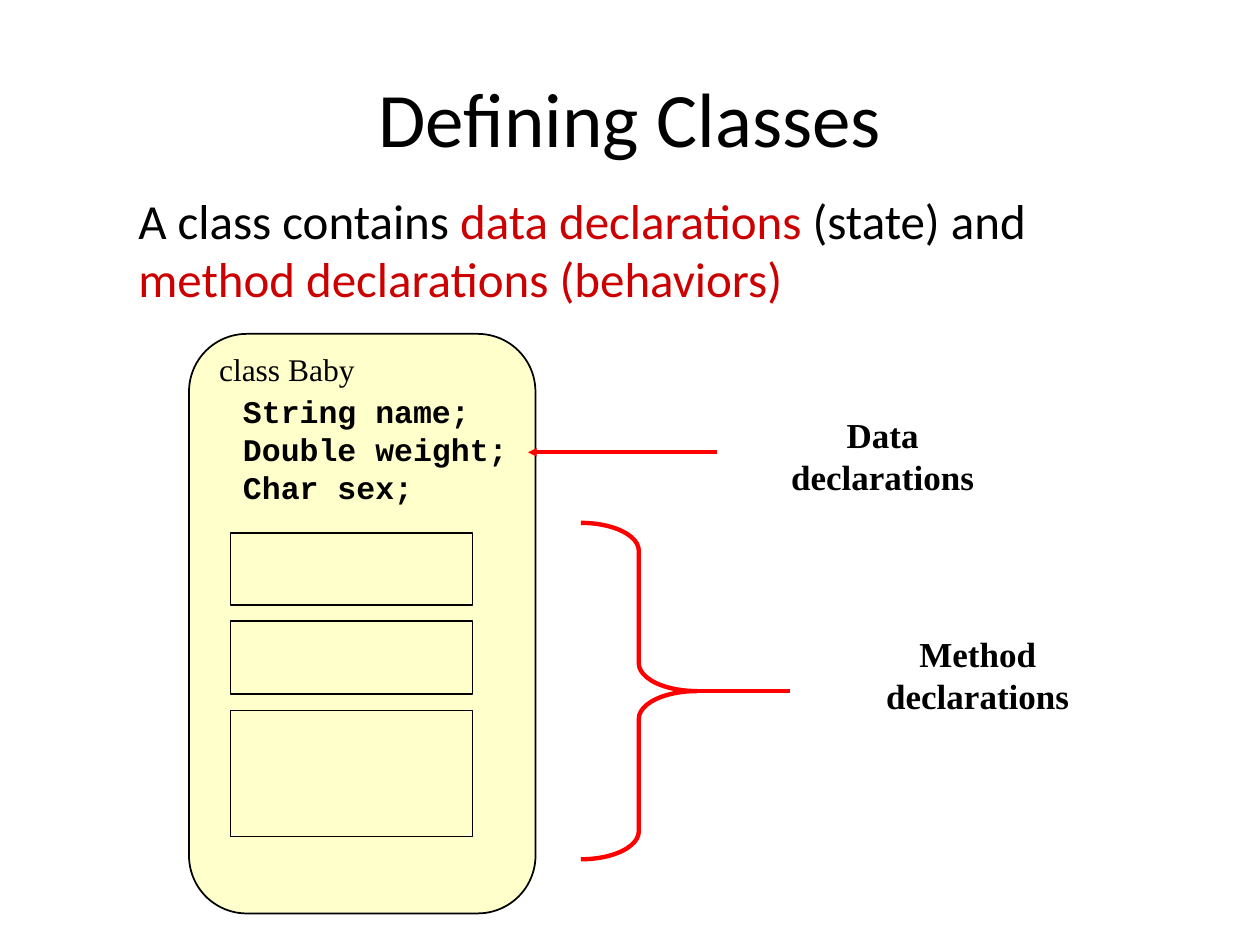
import pptx
import pptx.util
import pptx.dml.color
import pptx.enum.shapes
import pptx.enum.text
import pptx.oxml
import pptx.oxml.ns

Inches = pptx.util.Inches
RGBColor = pptx.dml.color.RGBColor
SHAPE = pptx.enum.shapes.MSO_SHAPE
ALIGN = pptx.enum.text.PP_ALIGN
ANCHOR = pptx.enum.text.MSO_ANCHOR

BLACK = RGBColor(0x00, 0x00, 0x00)
CREAM = RGBColor(0xFF, 0xFF, 0xCC)
CRIMSON = RGBColor(0xCC, 0x00, 0x00)
RED = RGBColor(0xFF, 0x00, 0x00)
SERIF = "Times New Roman"


def write(sp, paragraphs, size=18, font=SERIF, bold=False,
          align=ALIGN.LEFT, anchor=ANCHOR.TOP, wrap=False):
    """Fill a shape with paragraphs, each a list of (text, colour) runs; "\\n" breaks a line."""
    tf = sp.text_frame
    tf.word_wrap = wrap
    tf.vertical_anchor = anchor
    for i, runs in enumerate(paragraphs):
        p = tf.add_paragraph() if i else tf.paragraphs[0]
        p.alignment = align
        for text, color in runs:
            for j, part in enumerate(text.split("\n")):
                if j:
                    p.add_line_break()
                r = p.add_run()
                r.text = part
                r.font.size = pptx.util.Pt(size)
                r.font.name = font
                r.font.bold = bold
                r.font.color.rgb = color


def add_box(shapes, kind, x, y, w, h, fill=None, line=None, weight=1):
    """Add a preset shape with an optional fill and outline."""
    sp = shapes.add_shape(kind, Inches(x), Inches(y), Inches(w), Inches(h))
    sp.shadow.inherit = False
    if fill is None:
        sp.fill.background()
    else:
        sp.fill.solid()
        sp.fill.fore_color.rgb = fill
    if line is None:
        sp.line.fill.background()
    else:
        sp.line.color.rgb = line
        sp.line.width = pptx.util.Pt(weight)
    return sp


def add_text(s, x, y, w, h, paragraphs, **fmt):
    """Add a text box."""
    sp = s.shapes.add_textbox(Inches(x), Inches(y), Inches(w), Inches(h))
    write(sp, paragraphs, **fmt)


def add_red_line(shapes, x1, x2, y, arrow=False):
    """Add a level red line, with a small arrowhead at x2 if asked."""
    cx = shapes.add_connector(pptx.enum.shapes.MSO_CONNECTOR.STRAIGHT,
                              Inches(x1), Inches(y), Inches(x2), Inches(y))
    cx.line.color.rgb = RED
    cx.line.width = pptx.util.Pt(2.5)
    sp_pr = cx.line._get_or_add_ln().getparent()
    if arrow:
        ns = pptx.oxml.ns.nsdecls("a")
        cx.line._get_or_add_ln().append(pptx.oxml.parse_xml(
            f'<a:tailEnd {ns} type="triangle" w="sm" len="sm"/>'))
    sp_pr.append(pptx.oxml.parse_xml(
        f'<a:effectLst {pptx.oxml.ns.nsdecls("a")}/>'))


def add_heading(s, x, y, w):
    """Place the title and the definition below it."""
    title = s.shapes.title
    title.left, title.top = Inches(x), Inches(y)
    title.width, title.height = Inches(w), Inches(1.25)
    write(title, [[("Defining Classes", BLACK)]], size=44, font="Calibri",
          align=ALIGN.CENTER, anchor=ANCHOR.MIDDLE, wrap=True)
    add_text(s, x + 0.5, y + 1.16, 8.33, 1.04, [[
        ("A class contains ", BLACK), ("data declarations", CRIMSON),
        (" (state) and ", BLACK), ("method declarations (behaviors)", CRIMSON),
    ]], size=28, font="Calibri", wrap=True)


def add_class_card(s, x, y, w, h):
    """Draw the class with its fields and its empty method boxes."""
    add_box(s.shapes, SHAPE.FLOWCHART_ALTERNATE_PROCESS, x, y, w, h, CREAM, BLACK)
    inner = x + 0.33
    top = y + 1.58
    for height in (0.57, 0.58, 1):
        add_box(s.shapes, SHAPE.RECTANGLE, inner, top, 1.92, height, CREAM, BLACK)
        top += height + 0.13
    fields = add_box(s.shapes, SHAPE.RECTANGLE, inner, y + 0.41, 2.31, 1.01, CREAM)
    write(fields, [[(t, BLACK)] for t in ("String name;", "Double weight;", "Char sex;")],
          font="Courier New", bold=True, anchor=ANCHOR.MIDDLE)
    add_text(s, x + 0.14, y + 0.08, 1.29, 0.4, [[("class Baby", BLACK)]])


def add_label(s, x, y, w, text):
    """Add a bold centred label."""
    add_text(s, x, y, w, 0.43, [[(text, BLACK)]], size=20, bold=True,
             align=ALIGN.CENTER, anchor=ANCHOR.MIDDLE)


def add_data_note(s, x, y):
    """Label the fields with an arrow whose tip is at x, y."""
    add_label(s, x + 1.67, y - 0.19, 2.29, "Data\ndeclarations")
    add_red_line(s.shapes, x + 1.5, x, y, arrow=True)


def add_method_note(s, x, y, w, h):
    """Label the methods with a brace that fills the given box."""
    middle = y + h / 2
    add_label(s, x + 1.83, middle - 0.35, 2.64, "Method\ndeclarations")
    group = s.shapes.add_group_shape()
    brace = add_box(group.shapes, SHAPE.RIGHT_BRACE, x, y, w, h, line=RED, weight=2.5)
    brace.adjustments[0] = 0.24
    brace.adjustments[1] = 0.5
    add_red_line(group.shapes, x + w + 0.74, x + w, middle)


prs = pptx.Presentation()
prs.slide_width, prs.slide_height = Inches(10), Inches(7.5)
s = prs.slides.add_slide(prs.slide_layouts[5])
add_heading(s, 0.5, 0.3, 9)
add_class_card(s, 1.5, 2.65, 2.75, 4.6)
add_data_note(s, 4.19, 3.59)
add_method_note(s, 4.61, 4.15, 0.92, 2.67)
prs.save("out.pptx")
